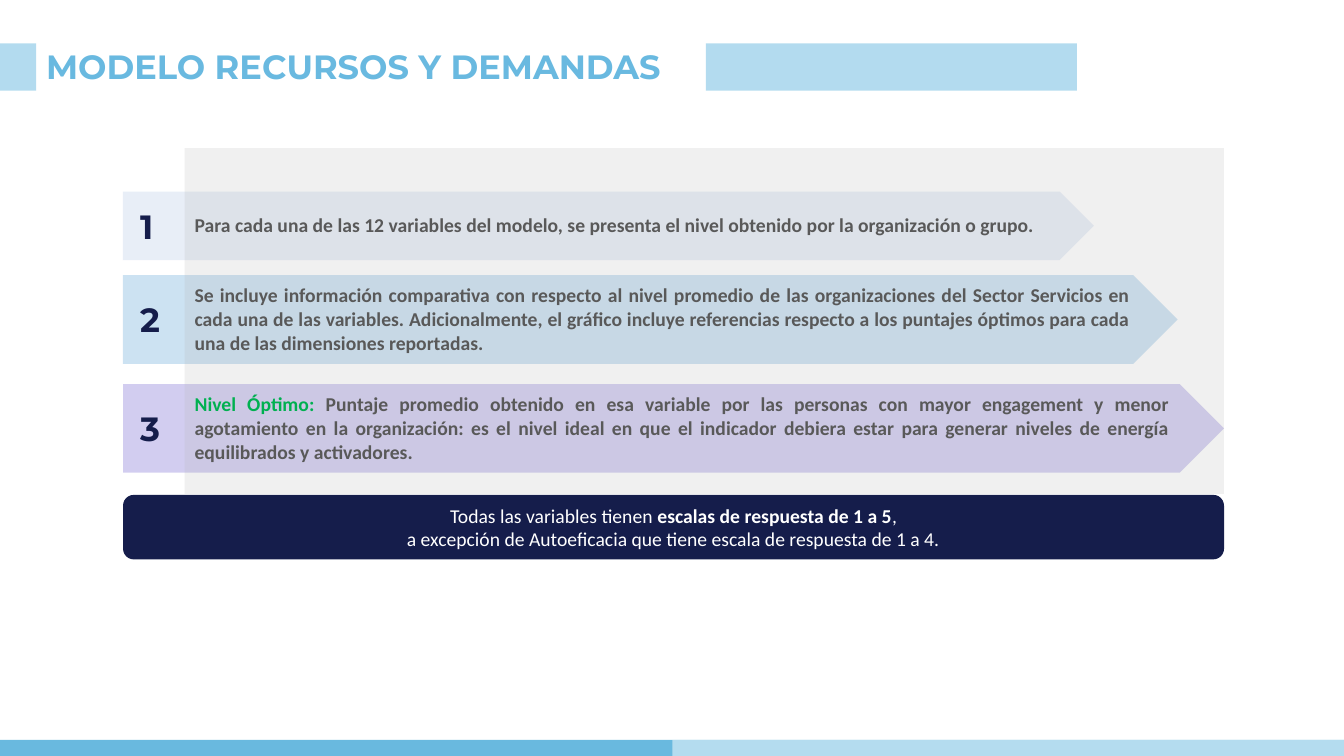
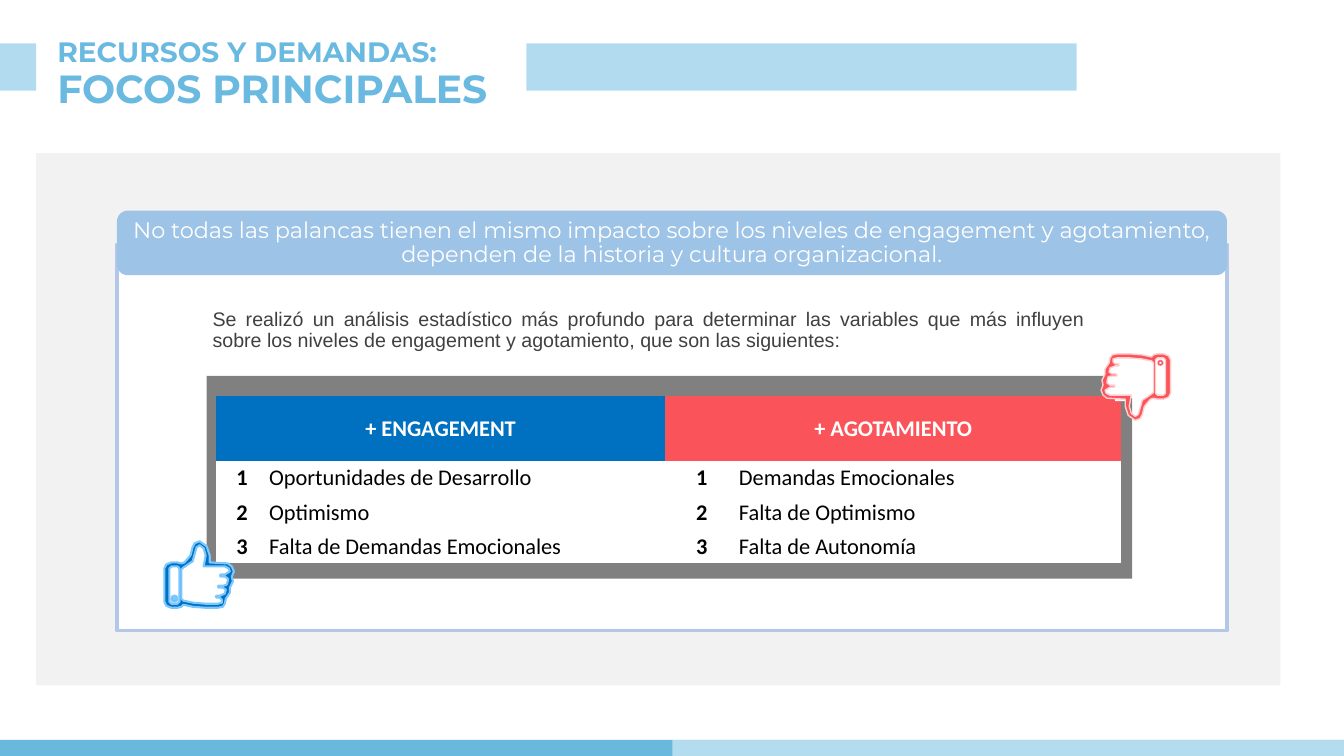
from lxml.etree import SubElement
from pptx import Presentation
from pptx.dml.color import RGBColor
from pptx.enum.shapes import MSO_SHAPE
from pptx.enum.text import MSO_ANCHOR, PP_ALIGN
from pptx.oxml.ns import qn
from pptx.util import Inches, Pt

# Shared colours
SKY = RGBColor(0x69, 0xB9, 0xE0)
FOOT = RGBColor(0x69, 0xB9, 0xDF)
NAVY = RGBColor(0x15, 0x1D, 0x4B)
WHITE = RGBColor(0xFF, 0xFF, 0xFF)
BLACK = RGBColor(0, 0, 0)
SLATE = RGBColor(0x59, 0x59, 0x59)
INK = RGBColor(0x40, 0x40, 0x40)
GREEN = RGBColor(0x00, 0xB0, 0x50)
BLUE = RGBColor(0x00, 0x70, 0xC0)
RED = RGBColor(0xFA, 0x54, 0x5A)
PERI = RGBColor(0x8D, 0xAD, 0xDB)
VIOLET = RGBColor(0x21, 0x08, 0xB4)
MIST = RGBColor(0xB4, 0xB4, 0xB4)
PALE = RGBColor(0xF2, 0xF2, 0xF2)
EDGE = RGBColor(0xB4, 0xC7, 0xE7)
BANNER = RGBColor(0x9D, 0xC3, 0xE6)
GRAY = RGBColor(0x80, 0x80, 0x80)
AQUA = RGBColor(0x7D, 0xC7, 0xFF)
ROSE = RGBColor(0xFE, 0xCE, 0xD0)

HEAD, BODY, PLAIN = "Montserrat", "Calibri", "Arial"
LEFT, MID, JUST = PP_ALIGN.LEFT, PP_ALIGN.CENTER, PP_ALIGN.JUSTIFY
NO_GRID = "{2D5ABB26-0587-4C30-8999-92F81FD0307C}"

# Thumb outlines in hundredths of an inch: rim, cuff, hand
THUMB = [
    [(63, 22), (45, 21), (45, 14), (42, 5), (35, 0), (30, 2), (28, 6),
     (26, 14), (20, 21), (17, 22), (13, 21), (7, 21), (2, 23), (0, 27),
     (0, 60), (2, 64), (7, 66), (13, 66), (17, 65), (19, 63), (28, 65),
     (41, 66), (53, 66), (58, 65), (60, 62), (61, 57), (65, 51), (65, 46),
     (68, 40), (67, 35), (69, 30), (67, 25)],
    [(15, 60), (13, 62), (7, 62), (5, 60), (5, 27), (7, 25), (13, 25),
     (15, 27)],
    [(65, 30), (60, 33), (56, 33), (55, 34), (56, 35), (60, 35), (63, 37),
     (63, 39), (62, 43), (59, 44), (54, 44), (53, 45), (54, 46), (58, 46),
     (61, 48), (60, 52), (55, 54), (52, 54), (51, 55), (52, 56), (55, 56),
     (57, 58), (57, 61), (53, 62), (41, 62), (29, 61), (19, 59), (17, 57),
     (17, 28), (19, 26), (28, 20), (32, 6), (35, 4), (39, 7), (41, 14),
     (39, 25), (60, 25), (64, 27)],
]


def paint(shape, fill, alpha=100, line=None, width=1):
    shape.shadow.inherit = False
    shape.fill.solid()
    shape.fill.fore_color.rgb = fill
    if alpha < 100:
        clr = shape._element.spPr.find(qn("a:solidFill"))[0]
        SubElement(clr, qn("a:alpha"), val=str(alpha * 1000))
    if line is None:
        shape.line.fill.background()
    else:
        shape.line.color.rgb = line
        shape.line.width = Pt(width)
    return shape


def block(slide, box, fill, alpha=100, kind=MSO_SHAPE.RECTANGLE, **edge):
    shape = slide.shapes.add_shape(kind, *map(Inches, box))
    return paint(shape, fill, alpha, **edge)


def write(frame, paras, size, font, color, align=LEFT, space=1.0):
    """Each paragraph is a list of (text, bold) or (text, bold, colour)."""
    frame.word_wrap = True
    for i, runs in enumerate(paras):
        para = frame.add_paragraph() if i else frame.paragraphs[0]
        para.alignment, para.line_spacing = align, space
        for text, bold, *tint in runs:
            run = para.add_run()
            run.text = text
            run.font.name, run.font.size = font, Pt(size)
            run.font.bold = bold
            run.font.color.rgb = tint[0] if tint else color


def label(slide, box, paras, *style, **more):
    area = slide.shapes.add_textbox(*map(Inches, box))
    write(area.text_frame, paras, *style, **more)
    return area.text_frame


def pill(slide, box, fill, paras, *style, **more):
    shape = block(slide, box, fill, kind=MSO_SHAPE.ROUNDED_RECTANGLE)
    frame = shape.text_frame
    frame.margin_left = frame.margin_right = Inches(0.13)
    frame.margin_top = frame.margin_bottom = Inches(0.07)
    frame.vertical_anchor = MSO_ANCHOR.MIDDLE
    write(frame, paras, *style, **more)


def grid(slide, box, cols, rows):
    frame = slide.shapes.add_table(len(rows), len(cols), *map(Inches, box))
    table = frame.table
    table.first_row = table.horz_banding = False
    next(frame._element.iter(qn("a:tableStyleId"))).text = NO_GRID
    for col, size in zip(table.columns, cols):
        col.width = Inches(size)
    for row, size in zip(table.rows, rows):
        row.height = Inches(size)
    return table


def fill_cell(cell, fill, pads, runs, *style):
    cell.vertical_anchor = MSO_ANCHOR.MIDDLE
    (cell.margin_left, cell.margin_top,
     cell.margin_right, cell.margin_bottom) = map(Inches, pads)
    if fill is None:
        cell.fill.background()
    else:
        cell.fill.solid()
        cell.fill.fore_color.rgb = fill
    write(cell.text_frame, [runs], *style)


def base(deck, bar):
    """Blank slide with the footer and the title bands."""
    slide = deck.slides.add_slide(deck.slide_layouts[6])
    block(slide, (0, 7.34, 13.33, 0.16), FOOT)
    block(slide, (6.67, 7.34, 6.67, 0.16), WHITE, 50)
    for x, end in ((0, 0.36), (bar, 10.68)):
        block(slide, (x, 0.43, end - x, 0.47), SKY, 50)
    return slide


def step(slide, box, num, wide, runs):
    """Number and text over one arrow."""
    x, y, _, h = box
    table = grid(slide, (x + 0.63, y + 0.01, wide, h), [wide], [h])
    fill_cell(table.cell(0, 0), None, (0.08, 0.08, 0.08, 0.1),
              runs, 14, BODY, SLATE, JUST)
    label(slide, (x + 0.07, y + h / 2 - 0.25, 0.52, 0.5),
          [[(str(num), True)]], 24, HEAD, NAVY)


def thumb(slide, x, y, fill, line, width, turn=0):
    """Thumb up, or down when turned by 180 degrees."""
    first, *rest = THUMB
    pen = slide.shapes.build_freeform(*first[0], scale=Inches(0.01))
    pen.add_line_segments(first[1:])
    for path in rest:
        pen.move_to(*path[0])
        pen.add_line_segments(path[1:])
    hand = pen.convert_to_shape(Inches(x), Inches(y))
    paint(hand, fill, line=line, width=width).rotation = turn
    dx, dy = (0.56, 0.06) if turn else (0.07, 0.54)
    dot = block(slide, (x + dx, y + dy, 0.06, 0.06), fill,
                kind=MSO_SHAPE.DONUT, line=line,
                width=0.25 if turn else width)
    dot.adjustments[0] = 0.33


def focus(slide, box):
    """Framed table of the main levers, with both thumbs."""
    x, y, w, h = box
    block(slide, box, GRAY)
    table = grid(slide, (x + 0.09, y + 0.2, 8.98, 1.66),
                 [0.52, 3.94, 0.72, 3.8], [0.64] + [0.34] * 3)
    sides = [
        ("+ ENGAGEMENT", BLUE, ["Oportunidades de Desarrollo", "Optimismo",
                                "Falta de Demandas Emocionales"]),
        ("+ AGOTAMIENTO", RED, ["Demandas Emocionales",
                                "Falta de Optimismo", "Falta de Autonomía"]),
    ]
    pads = (0.01, 0.01, 0.01, 0)
    for side, (head, fill, items) in enumerate(sides):
        col = 2 * side
        top = table.cell(0, col)
        top.merge(table.cell(0, col + 1))
        fill_cell(top, fill, pads, [(head, True)], 16, BODY, WHITE, MID)
        for row, item in enumerate(items, 1):
            fill_cell(table.cell(row, col), WHITE, pads,
                      [(str(row), True)], 16, BODY, BLACK, MID)
            fill_cell(table.cell(row, col + 1), WHITE, pads,
                      [(item, False)], 16, BODY, BLACK, LEFT)
    # White backing, then each thumb
    for dx, dy, bw, bh in ((-0.39, 1.88, 0.64, 0.4), (8.92, -0.16, 0.61, 0.38),
                           (9.01, -0.31, 0.1, 0.56)):
        block(slide, (x + dx, y + dy, bw, bh), WHITE)
    thumb(slide, x - 0.42, y + h - 0.37, BLUE, AQUA, 1.5)
    thumb(slide, x + w - 0.31, y - 0.22, RED, ROSE, 1, 180)


def model(deck):
    slide = base(deck, 7)
    frame = label(slide, (0.36, 0.36, 10.16, 0.64),
                  [[("MODELO RECURSOS Y DEMANDAS", True)]],
                  24, HEAD, SKY, space=0.9)
    frame.vertical_anchor = MSO_ANCHOR.MIDDLE
    steps = [
        ((1.22, 1.9, 9.63, 0.68), PERI, 8.89, [
            ("Para cada una de las 12 variables del modelo, se presenta el "
             "nivel obtenido por la organización o grupo.", True)]),
        ((1.22, 2.73, 10.46, 0.88), BLUE, 9.44, [
            ("Se incluye información comparativa con respecto al nivel "
             "promedio de las organizaciones del Sector Servicios en cada "
             "una de las variables. Adicionalmente, el gráfico incluye "
             "referencias respecto a los puntajes óptimos para cada una de "
             "las dimensiones reportadas.", True)]),
        ((1.22, 3.81, 10.92, 0.88), VIOLET, 9.83, [
            ("Nivel Óptimo: ", True, GREEN),
            ("Puntaje promedio obtenido en esa variable por las personas "
             "con mayor engagement y menor agotamiento en la organización: "
             "es el nivel ideal en que el indicador debiera estar para "
             "generar niveles de energía equilibrados y activadores.",
             True)]),
    ]
    # Arrows lie under the panel, texts above it
    for box, fill, _, _ in steps:
        block(slide, box, fill, 20, MSO_SHAPE.PENTAGON)
    block(slide, (1.83, 1.47, 10.31, 3.43), MIST, 20)
    for num, (box, _, wide, runs) in enumerate(steps, 1):
        step(slide, box, num, wide, runs)
    pill(slide, (1.22, 4.91, 10.92, 0.64), NAVY, [
        [("Todas las variables tienen ", False),
         ("escalas de respuesta de 1 a 5", True), (",", False)],
        [("a excepción de Autoeficacia que tiene escala de respuesta "
          "de 1 a 4.", False)]], 14, BODY, WHITE, MID)


def levers(deck):
    slide = base(deck, 5.22)
    for y, w, h, size, text in (
            (0.33, 9.81, 0.4, 20, "RECURSOS Y DEMANDAS:"),
            (0.64, 4.75, 0.53, 28, "FOCOS PRINCIPALES")):
        label(slide, (0.47, y, w, h), [[(text, True)]],
              size, HEAD, SKY, space=0.9)
    # Card and banner
    block(slide, (0.36, 1.52, 12.34, 5.28), PALE)
    block(slide, (1.16, 2.43, 11.01, 3.83), WHITE, line=EDGE, width=2.25)
    label(slide, (2.01, 3.02, 8.85, 0.53), [[
        ("Se realizó un análisis estadístico más profundo para determinar "
         "las variables que más influyen sobre los niveles de engagement y "
         "agotamiento, que son las siguientes:", False)]],
        14, PLAIN, INK, JUST, space=0.9)
    pill(slide, (1.16, 2.09, 11.01, 0.64), BANNER, [[
        ("No todas las palancas tienen el mismo impacto sobre los niveles "
         "de engagement y agotamiento, dependen de la historia y cultura "
         "organizacional.", False)]], 16, HEAD, WHITE, MID, space=0.9)
    focus(slide, (2.05, 3.73, 9.18, 2.01))


def main():
    deck = Presentation()
    deck.slide_width, deck.slide_height = Inches(13.33), Inches(7.5)
    model(deck)
    levers(deck)
    deck.save("out.pptx")


if __name__ == "__main__":
    main()
